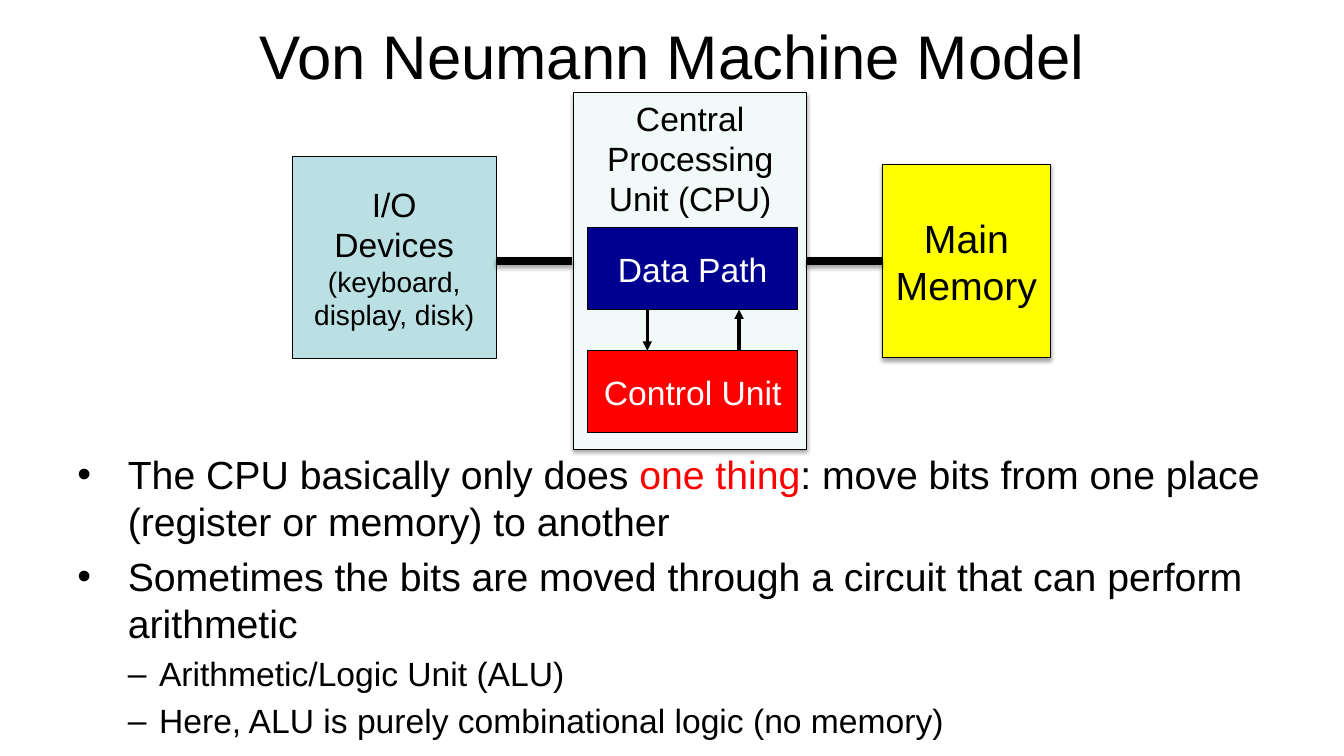
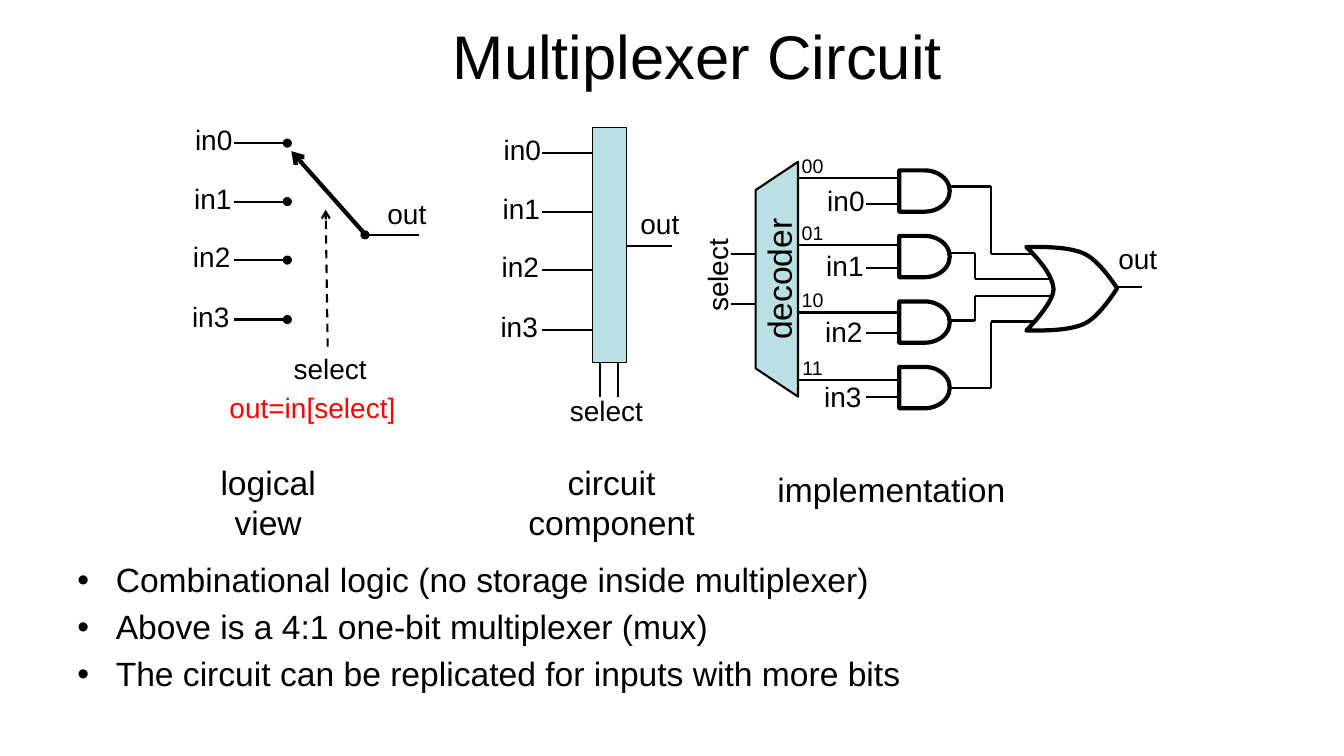
from dataclasses import dataclass
from itertools import pairwise

from pptx import Presentation
from pptx.dml.color import RGBColor
from pptx.enum.dml import MSO_LINE
from pptx.enum.shapes import MSO_CONNECTOR, MSO_SHAPE
from pptx.enum.text import MSO_ANCHOR, PP_ALIGN
from pptx.oxml import parse_xml
from pptx.oxml.ns import nsdecls, qn
from pptx.util import Pt

PX = 9144  # 100 px to the inch


@dataclass(frozen=True)
class Theme:
    font: str = "Arial"
    black: RGBColor = RGBColor(0, 0, 0)
    white: RGBColor = RGBColor(255, 255, 255)
    red: RGBColor = RGBColor(255, 0, 0)
    navy: RGBColor = RGBColor(0, 0, 0x90)
    yellow: RGBColor = RGBColor(255, 255, 0)
    teal: RGBColor = RGBColor(0xBB, 0xE0, 0xE3)
    pale: RGBColor = RGBColor(0xF1, 0xF9, 0xF9)
    title: int = 44
    large: int = 28
    medium: int = 24
    small: int = 20
    tiny: int = 14


T = Theme()


def add_box(slide, kind, x, y, w, h, text="", size=T.small, color=T.black,
            fill=None, line=0.75, anchor=MSO_ANCHOR.MIDDLE):
    """Add a preset shape, or a plain text box when kind is None."""
    frame = [v * PX for v in (x, y, w, h)]
    if kind is None:
        sp = slide.shapes.add_textbox(*frame)
        sp.text_frame.word_wrap = False
    else:
        sp = slide.shapes.add_shape(kind, *frame)
        sp.shadow.inherit = False
        if fill is None:
            sp.fill.background()
        else:
            sp.fill.solid()
            sp.fill.fore_color.rgb = fill
        sp.line.color.rgb = T.black
        sp.line.width = Pt(line)
        sp.text_frame.vertical_anchor = anchor
    if text:
        sp.text_frame.text = text
    for p in sp.text_frame.paragraphs:
        p.alignment = PP_ALIGN.CENTER
        for r in p.runs:
            r.font.name, r.font.size = T.font, Pt(size)
            r.font.color.rgb = color
    return sp


def add_wire(slide, x1, y1, x2, y2, width=1.5, head=None, dash=None):
    cn = slide.shapes.add_connector(
        MSO_CONNECTOR.STRAIGHT, x1 * PX, y1 * PX, x2 * PX, y2 * PX)
    cn.line.color.rgb = T.black
    cn.line.width = Pt(width)
    if dash:
        cn.line.dash_style = dash
    if head:
        cn.line._get_or_add_ln().append(
            parse_xml(f'<a:tailEnd {nsdecls("a")} type="{head}"/>'))
    cn._element.spPr.append(parse_xml(f'<a:effectLst {nsdecls("a")}/>'))
    return cn


prs = Presentation()
prs.slide_width, prs.slide_height = 1333 * PX, 750 * PX

# Titles and bullets: (level, size, left margin, text); |...| marks red words
pages = [
    ("Von Neumann Machine Model", 242, 442, 300, [
        (0, T.large, 50, "The CPU basically only does |one thing|: move bits "
                         "from one place (register or memory) to another"),
        (0, T.large, 50, "Sometimes the bits are moved through a circuit that "
                         "can perform arithmetic"),
        (1, T.medium, 81, "Arithmetic/Logic Unit (ALU)"),
        (1, T.medium, 81, "Here, ALU is purely combinational logic (no memory)"),
    ]),
    ("Multiplexer Circuit", 267, 550, 183, [
        (0, T.medium, 38, "Combinational logic (no storage inside multiplexer)"),
        (0, T.medium, 38, "Above is a 4:1 one-bit multiplexer (mux)"),
        (0, T.medium, 38, "The circuit can be replicated for inputs with more bits"),
    ]),
]
for title, title_x, body_y, body_h, bullets in pages:
    slide = prs.slides.add_slide(prs.slide_layouts[5])
    sp = slide.shapes.title
    sp.left, sp.top, sp.width, sp.height = title_x * PX, -8 * PX, 850 * PX, 125 * PX
    tf = sp.text_frame
    tf.text = title
    tf.vertical_anchor = MSO_ANCHOR.MIDDLE
    p = tf.paragraphs[0]
    p.alignment = PP_ALIGN.CENTER
    font = p.runs[0].font
    font.name, font.size, font.color.rgb = T.font, Pt(T.title), T.black

    tf = slide.shapes.add_textbox(67 * PX, body_y * PX, 1200 * PX, body_h * PX).text_frame
    tf.word_wrap = True
    for n, (level, size, margin, text) in enumerate(bullets):
        p = tf.add_paragraph() if n else tf.paragraphs[0]
        p.level = level
        pPr = p._p.get_or_add_pPr()
        pPr.set("marL", str(margin * PX))
        pPr.set("indent", str(-(31 if level else margin) * PX))
        pPr.append(parse_xml(f'<a:buFont {nsdecls("a")} typeface="{T.font}"/>'))
        pPr.append(parse_xml(f'<a:buChar {nsdecls("a")} char="{"•–"[level]}"/>'))
        if n:
            p.space_before = Pt(size * 0.2)
        for k, part in enumerate(text.split("|")):
            r = p.add_run()
            r.text = part
            r.font.name, r.font.size = T.font, Pt(size)
            r.font.color.rgb = T.red if k % 2 else T.black

machine, mux = prs.slides

# Von Neumann machine
RECT = MSO_SHAPE.RECTANGLE
cpu = add_box(machine, RECT, 569, 92, 231, 354, "Central Processing Unit (CPU)",
              T.medium, fill=T.pale, anchor=MSO_ANCHOR.TOP)
memory = add_box(machine, RECT, 875, 163, 167, 192, "Main\nMemory", T.large, fill=T.yellow)
devices = add_box(machine, RECT, 290, 155, 202, 201,
                  "I/O\nDevices\n(keyboard, display, disk)", T.medium, fill=T.teal)
devices.text_frame.paragraphs[2].runs[0].font.size = Pt(T.small)
add_box(machine, RECT, 583, 226, 208, 81, "Data Path", T.medium, T.white, T.navy)
add_box(machine, RECT, 583, 348, 208, 81, "Control Unit", T.medium, T.white, T.red)
add_wire(machine, 642, 307, 642, 348, 2.25, "triangle")
add_wire(machine, 733, 348, 733, 307, 2.25, "triangle")
device_bus = add_wire(machine, 492, 259, 567, 259, 6)
memory_bus = add_wire(machine, 800, 259, 875, 259, 6)
memory_bus.end_connect(memory, 1)
for s in (cpu, memory, device_bus, memory_bus):
    s._element.spPr.find(qn("a:effectLst")).append(parse_xml(
        f'<a:outerShdw {nsdecls("a")} blurRad="39370" dist="22860" dir="5400000" '
        'rotWithShape="0"><a:srgbClr val="000000"><a:alpha val="35000"/>'
        '</a:srgbClr></a:outerShdw>'))

# Inputs shared by the logical view and the circuit component
for label_x, first_y in ((183, 142), (489, 152)):
    for i in range(4):
        y = first_y + 175 * i // 3
        add_wire(mux, label_x + 49, y, label_x + 99, y)
        add_box(mux, None, label_x - i, y - 25, 58, 44, f"in{i}")

# Logical view
dots = [(281, 138 + 175 * i // 3) for i in range(4)] + [(358, 229)]
for x, y in dots:
    add_box(mux, MSO_SHAPE.OVAL, x, y, 8, 8, fill=T.black)
add_wire(mux, 366, 233, 416, 233)
add_wire(mux, 360, 230, 289, 150, 3, "arrow")
add_wire(mux, 325, 344, 323, 208, head="arrow", dash=MSO_LINE.DASH)
add_box(mux, None, 217, 383, 186, 44, "out=in[select]", color=T.red)

# Circuit component
add_box(mux, RECT, 588, 127, 33, 233, fill=T.teal)
add_wire(mux, 621, 244, 667, 244)
for x in (595, 613):
    add_wire(mux, x, 394, x, 360)

# Implementation: decoder, AND gates, OR gate
decoder = add_box(mux, MSO_SHAPE.TRAPEZOID, 654, 256, 233, 42, "decoder",
                  T.medium, fill=T.teal, line=1.5)
decoder.adjustments[0] = 0.667
decoder.rotation = 270
for y in (252, 302):
    add_wire(mux, 725, y, 750, y)

or_inputs = [(983, 252, 1025), (967, 277, 1042), (967, 294, 1042), (983, 319, 1025)]
for i, (turn_x, or_y, or_x) in enumerate(or_inputs):
    code_y, data_y, gate_y = 177 + 200 * i // 3, 202 + 64 * i, 169 + 65 * i
    add_wire(mux, 792, code_y, 892, code_y)
    add_wire(mux, 859, data_y, 892, data_y)
    add_box(mux, None, 785, code_y - 29, 42, 34, f"{i:02b}", T.tiny)
    add_box(mux, None, 810 - i, gate_y + 8, 58, 44, f"in{i}")
    add_box(mux, MSO_SHAPE.FLOWCHART_DELAY, 892, gate_y, 50, 41, fill=T.white, line=3)
    out_y = code_y + 8
    bends = [(942, out_y), (turn_x, out_y), (turn_x, or_y), (or_x, or_y)]
    for start, end in pairwise(bends):
        add_wire(mux, *start, *end)

# Bézier control points, neighbouring curves sharing an end
or_outline = [
    (1018, 245), (1039, 245), (1061, 245), (1076, 252), (1091, 259), (1108, 286),
    (1108, 286), (1108, 286), (1091, 314), (1076, 321), (1061, 328), (1039, 328),
    (1018, 328), (1018, 328), (1045, 301), (1045, 287), (1044, 273), (1031, 258),
    (1018, 245)]
STEPS = 12
points = []
for k in range(0, len(or_outline) - 1, 3):
    for step in range(1, STEPS + 1):
        t = step / STEPS
        weights = ((1 - t) ** 3, 3 * t * (1 - t) ** 2, 3 * t * t * (1 - t), t ** 3)
        points.append(tuple(
            sum(w * c[axis] for w, c in zip(weights, or_outline[k:k + 4])) * PX
            for axis in (0, 1)))
builder = mux.shapes.build_freeform(1018 * PX, 245 * PX)
builder.add_line_segments(points, close=True)
or_gate = builder.convert_to_shape()
or_gate.shadow.inherit = False
or_gate.fill.background()
or_gate.line.color.rgb = T.black
or_gate.line.width = Pt(3)
add_wire(mux, 1108, 285, 1133, 285)

# Output and select labels, then the captions
for x, y in ((374, 190), (625, 200), (1099, 235)):
    add_box(mux, None, x, y, 59, 44, "out")
for x, y, angle in ((281, 344, 0), (555, 385, 0), (665, 251, 270)):
    add_box(mux, None, x, y, 93, 44, "select").rotation = angle
for x, y, w, h, caption in ((208, 453, 116, 91, "logical\nview"),
                            (513, 453, 187, 91, "circuit\ncomponent"),
                            (760, 460, 248, 50, "implementation")):
    add_box(mux, None, x, y, w, h, caption, T.medium)

prs.save("out.pptx")
